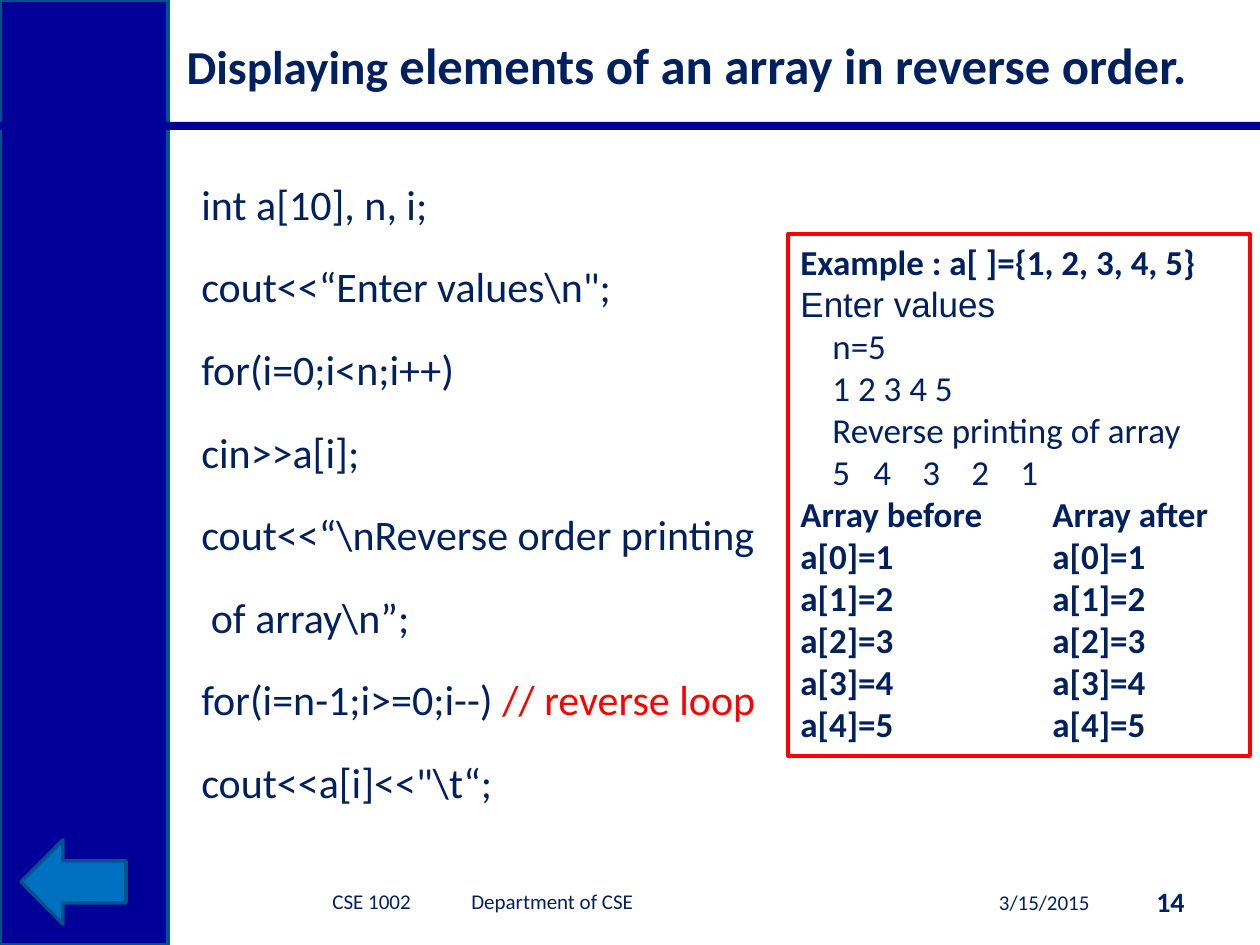
from lxml.etree import SubElement
from pptx import Presentation
from pptx.dml.color import RGBColor
from pptx.enum.shapes import MSO_SHAPE as Shape
from pptx.enum.text import MSO_ANCHOR as Anchor, MSO_AUTO_SIZE as Fit, PP_ALIGN as Align
from pptx.oxml.ns import qn
from pptx.util import Emu, Pt

NAVY = RGBColor(0x00, 0x20, 0x60)
BAND = RGBColor(0x00, 0x00, 0x99)
EDGE = RGBColor(0x00, 0x53, 0x8E)
BLUE = RGBColor(0x00, 0x70, 0xC0)
RED = RGBColor(0xFF, 0x00, 0x00)

CODE = [
    "int a[10], n, i;",
    "cout<<“Enter values\\n\";",
    "for(i=0;i<n;i++)",
    "cin>>a[i];",
    "cout<<“\\nReverse order printing",
    " of array\\n”;",
    "for(i=n-1;i>=0;i--) ",
    "cout<<a[i]<<\"\\t“;",
]
NOTES = {6: "// reverse loop"}
OUTPUT = ["n=5", "1 2 3 4 5", "Reverse printing of array", "5\t4\t3\t2\t1"]
OUT_TABS = [32, 73, 122, 171, 220]
COL_TABS = [252]


def px(n):
    return Emu(round(n * 914400 / 126))


def add_run(para, text, size, color=NAVY, bold=False, face="Calibri"):
    run = para.add_run()
    run.text = text
    font = run.font
    font.size, font.bold, font.name = Pt(size), bold, face
    font.color.rgb = color


def set_tabs(para, stops):
    """Put left tab stops at the given px distances."""
    tabs = SubElement(para._p.get_or_add_pPr(), qn("a:tabLst"))
    for stop in stops:
        SubElement(tabs, qn("a:tab"), pos=str(px(stop)), algn="l")


def next_para(frame):
    """Give the empty first paragraph, or else a new one."""
    first = frame.paragraphs[0]
    return first if not first.runs else frame.add_paragraph()


def add_shape(slide, kind, box, fill=None, line=None, width=2):
    shape = slide.shapes.add_shape(kind, *map(px, box))
    shape.shadow.inherit = False
    if fill is None:
        shape.fill.background()
    else:
        shape.fill.solid()
        shape.fill.fore_color.rgb = fill
    if line is None:
        shape.line.fill.background()
    else:
        shape.line.color.rgb = line
        shape.line.width = Pt(width)
    return shape


def add_text(slide, box, anchor=Anchor.TOP):
    frame = slide.shapes.add_textbox(*map(px, box)).text_frame
    frame.word_wrap = True
    frame.vertical_anchor = anchor
    return frame


def add_title(slide):
    title = slide.shapes.title
    title.left, title.top, title.width, title.height = map(px, (174, 1, 1086, 126))
    frame = title.text_frame
    frame.auto_size = Fit.NONE
    frame.vertical_anchor = Anchor.MIDDLE
    para = frame.paragraphs[0]
    para.alignment = Align.LEFT
    add_run(para, "Displaying", 27, bold=True)
    add_run(para, " elements of an array in reverse order.", 29, bold=True)


def add_code(slide):
    frame = add_text(slide, (189, 147, 1134, 703))
    for i, text in enumerate(CODE):
        para = next_para(frame)
        para.line_spacing = 1.5
        para.space_before = Pt(4)
        add_run(para, text, 24)
        if i in NOTES:
            add_run(para, NOTES[i], 24, RED)


def add_example(slide):
    box = add_shape(slide, Shape.RECTANGLE, (788, 234, 462, 522), line=RED, width=2.25)
    frame = box.text_frame
    frame.word_wrap = True
    frame.vertical_anchor = Anchor.TOP

    def add_line(text, stops=(), **style):
        para = next_para(frame)
        para.alignment = Align.LEFT
        if stops:
            set_tabs(para, stops)
        add_run(para, text, 20, **style)

    add_line("Example : a[ ]={1, 2, 3, 4, 5}", bold=True)
    add_line("Enter values", face="Arial")
    for text in OUTPUT:
        add_line("\t" + text, OUT_TABS)
    add_line("Array before\tArray after", COL_TABS, bold=True)
    for i in range(5):
        cell = f"a[{i}]={i + 1}"
        add_line(f"{cell}\t{cell}", COL_TABS, bold=True)


def add_footer(slide):
    parts = [
        ((882, 877, 220, 50), "3/15/2015", 12, False, Align.RIGHT, []),
        ((1102, 876, 95, 50), "14", 16, True, Align.RIGHT, []),
        ((179, 876, 609, 50), "\tCSE 1002\tDepartment of CSE", 12, False,
         Align.LEFT, [141, 280]),
    ]
    for box, text, size, bold, align, stops in parts:
        para = add_text(slide, box, Anchor.MIDDLE).paragraphs[0]
        para.alignment = align
        if stops:
            set_tabs(para, stops)
        add_run(para, text, size, bold=bold)


def main():
    deck = Presentation()
    deck.slide_width, deck.slide_height = px(1260), px(945)
    slide = deck.slides.add_slide(deck.slide_layouts[5])
    add_shape(slide, Shape.RECTANGLE, (0, 0, 168, 945), BAND, EDGE)
    add_shape(slide, Shape.RECTANGLE, (0, 122, 1260, 8), BAND)
    add_title(slide)
    add_code(slide)
    add_footer(slide)
    add_example(slide)
    add_shape(slide, Shape.LEFT_ARROW, (21, 840, 105, 84), BLUE, EDGE)
    deck.save("out.pptx")


if __name__ == "__main__":
    main()
